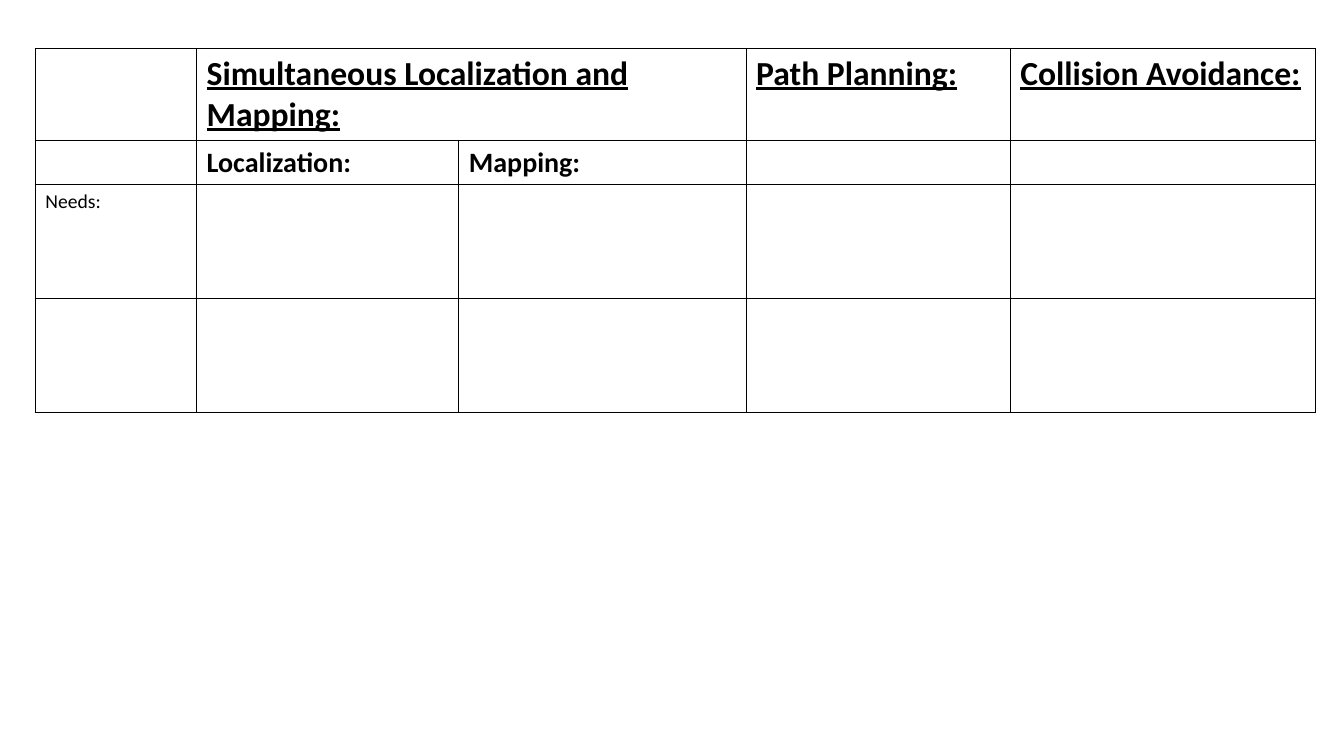
from lxml import etree
from pptx import Presentation
from pptx import util as u
from pptx.dml.color import RGBColor
from pptx.oxml.ns import qn

COLORS = {"ink": "000000", "paper": "FFFFFF"}
FONT = "Calibri"
BORDER_WIDTH = u.Pt(1)
COLUMN_WIDTHS = [1.6, 2.6, 2.85, 2.62, 3.03]
ROW_HEIGHTS = [0.91, 0.44, 1.13, 1.13]
ROW_STYLES = [
    {"size": 24, "bold": True, "underline": True},
    {"size": 20, "bold": True, "underline": False},
    {"size": 14, "bold": False, "underline": False},
    {"size": 14, "bold": False, "underline": False},
]
ROWS = [
    ["", "Simultaneous Localization and Mapping:", "", "Path Planning:", "Collision Avoidance:"],
    ["", "Localization:", "Mapping:", "", ""],
    ["Needs:", "", "", "", ""],
    ["", "", "", "", ""],
]


class SlideBuilder:
    def __init__(self, presentation):
        self.slide = presentation.slides.add_slide(presentation.slide_layouts[6])

    def add_table(self, left, top):
        frame = self.slide.shapes.add_table(
            len(ROWS), len(COLUMN_WIDTHS), u.Inches(left), u.Inches(top),
            u.Inches(sum(COLUMN_WIDTHS)), u.Inches(sum(ROW_HEIGHTS)))
        table = frame.table
        table.first_row = False
        table.horz_banding = False
        for column, width in zip(table.columns, COLUMN_WIDTHS):
            column.width = u.Inches(width)
        for row, height, texts, style in zip(table.rows, ROW_HEIGHTS, ROWS, ROW_STYLES):
            row.height = u.Inches(height)
            for cell, content in zip(row.cells, texts):
                self.format_cell(cell, content, style)
        table.cell(0, 1).merge(table.cell(0, 2))

    def format_cell(self, cell, content, style):
        cell.fill.solid()
        cell.fill.fore_color.rgb = RGBColor.from_string(COLORS["paper"])
        self.add_borders(cell)
        if not content:
            return
        cell.text_frame.text = content
        font = cell.text_frame.paragraphs[0].runs[0].font
        font.name = FONT
        font.size = u.Pt(style["size"])
        font.bold = style["bold"]
        font.underline = style["underline"]
        font.color.rgb = RGBColor.from_string(COLORS["ink"])

    def add_borders(self, cell):
        properties = cell._tc.get_or_add_tcPr()
        for position, side in enumerate(["lnL", "lnR", "lnT", "lnB"]):
            line = etree.Element(qn(f"a:{side}"), w=str(BORDER_WIDTH))
            fill = etree.SubElement(line, qn("a:solidFill"))
            etree.SubElement(fill, qn("a:srgbClr"), val=COLORS["ink"])
            properties.insert(position, line)


def main():
    presentation = Presentation()
    presentation.slide_width = u.Inches(13.33)
    presentation.slide_height = u.Inches(7.5)
    builder = SlideBuilder(presentation)
    builder.add_table(0.35, 0.48)
    presentation.save("out.pptx")


if __name__ == "__main__":
    main()
